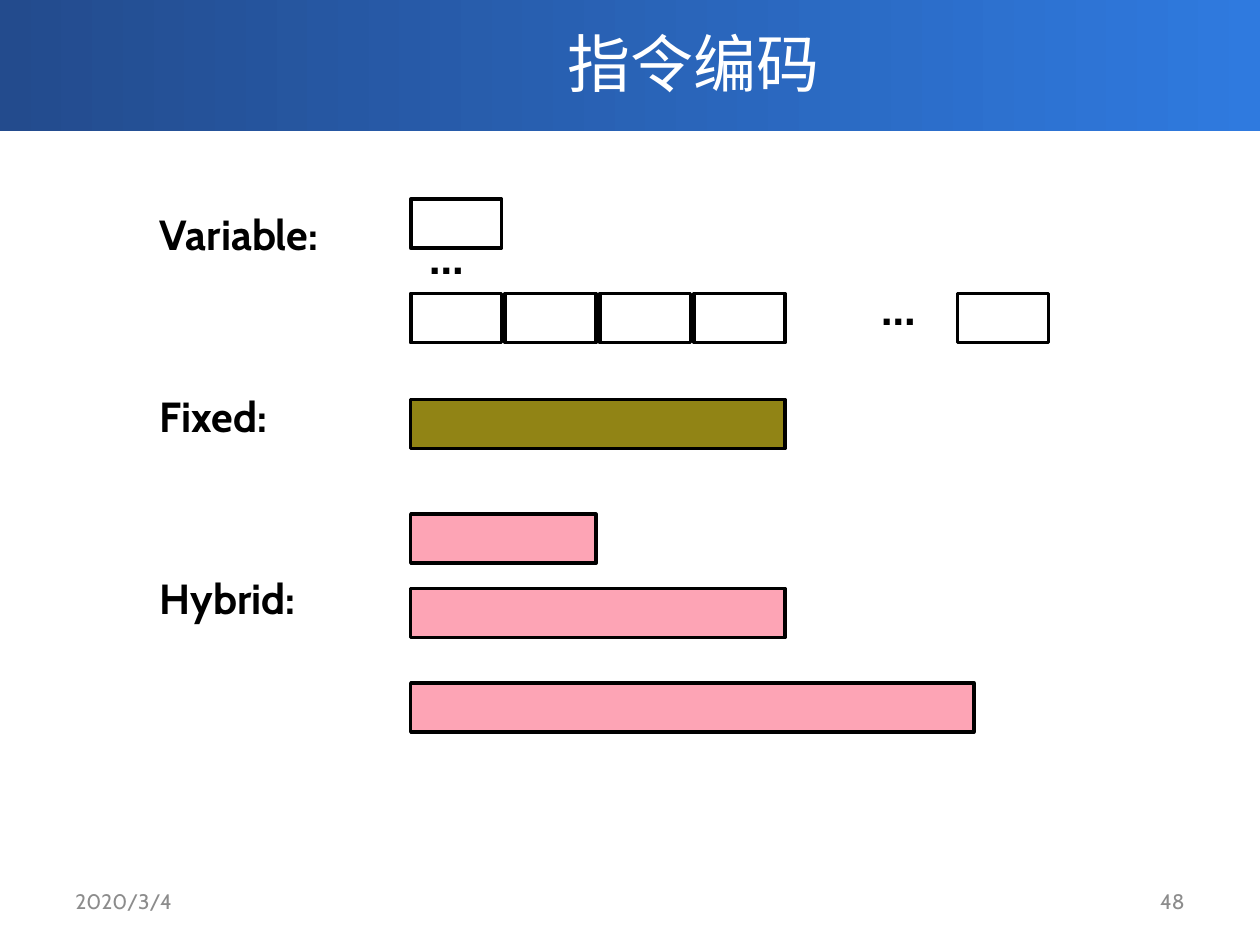
"""Build the slide comparing variable, fixed and hybrid instruction encoding."""
from lxml import etree
from pptx import Presentation
from pptx.dml.color import RGBColor
from pptx.enum.shapes import MSO_SHAPE
from pptx.enum.text import MSO_ANCHOR, MSO_AUTO_SIZE, PP_ALIGN
from pptx.oxml.ns import qn
from pptx.util import Pt

RECTANGLE = MSO_SHAPE.RECTANGLE
MIDDLE, TOP = MSO_ANCHOR.MIDDLE, MSO_ANCHOR.TOP
LEFT, CENTER, RIGHT = PP_ALIGN.LEFT, PP_ALIGN.CENTER, PP_ALIGN.RIGHT
NO_FIT = MSO_AUTO_SIZE.NONE
LABEL_GAP = 78
BAR_LEFT, BAR_HEIGHT, BYTE, GAP = 234.72, 28.08, 54, 2.16


def color(value):
    return RGBColor.from_string(value)


def write(box, lines, font, fill, align=LEFT, anchor=TOP, wrap=False, spacing=None, gap=0):
    frame = box.text_frame
    for name, value in {"word_wrap": wrap, "auto_size": NO_FIT, "vertical_anchor": anchor}.items():
        setattr(frame, name, value)
    for index, line in enumerate(lines):
        para = frame.add_paragraph() if index else frame.paragraphs[0]
        para.alignment = align
        para.line_spacing = spacing
        para.space_before = Pt(gap if index else 0)
        span = para.add_run()
        span.text = line
        for name, value in font.items():
            setattr(span.font, name, value)
        span.font.color.rgb = color(fill)


deck = Presentation()
deck.slide_width, deck.slide_height = Pt(720), Pt(540)
page = deck.slides.add_slide(deck.slide_layouts[5])

band = page.shapes.add_shape(RECTANGLE, Pt(0), Pt(-2.16), Pt(720), Pt(77.04))
band.shadow.inherit = False
band.line.fill.background()
band.fill.gradient()
band.fill.gradient_angle = 0
for stop, value in zip(band.fill.gradient_stops, ("234B8D", "2F7ADF")):
    stop.color.rgb = color(value)

title = page.shapes.title
title.left, title.top, title.width, title.height = Pt(72), Pt(0), Pt(648), Pt(71.28)
title_font = {"name": "Noto Sans CJK SC", "size": Pt(36)}
write(title, ["指令编码"], title_font, "FFFFFF", CENTER, MIDDLE, True)
properties = title.text_frame.paragraphs[0].runs[0].font._element
etree.SubElement(properties, qn("a:ea")).set("typeface", title_font["name"])
title._element.addprevious(band._element)

footer_font = {"name": "Cabin", "size": Pt(12)}
for text, left, align in (("2020/3/4", 36, LEFT), ("48", 516, RIGHT)):
    box = page.shapes.add_textbox(Pt(left), Pt(500.4), Pt(168), Pt(28.8))
    write(box, [text], footer_font, "8C8C8C", align, MIDDLE, True)

labels = page.shapes.add_textbox(Pt(84.24), Pt(118.8), Pt(115.92), Pt(240.48))
label_font = {"name": "Cabin", "size": Pt(24), "bold": True}
write(labels, ["Variable:", "Fixed:", "Hybrid:"], label_font, "000000", spacing=0.9, gap=LABEL_GAP)

bars = [
    (BAR_LEFT, 228.24, 4, "918415"),
    (BAR_LEFT, 293.76, 2, "FDA4B5"),
    (BAR_LEFT, 336.24, 4, "FDA4B5"),
    (BAR_LEFT, 390.24, 6, "FDA4B5"),
]
bars += [(BAR_LEFT + index * BYTE, 167.76, 1, None) for index in range(4)]
bars += [(547.2, 167.76, 1, None), (BAR_LEFT, 113.76, 1, None)]
for left, top, size, fill in bars:
    bar = page.shapes.add_shape(RECTANGLE, Pt(left), Pt(top), Pt(size * BYTE - GAP), Pt(BAR_HEIGHT))
    bar.shadow.inherit = False
    if fill:
        bar.fill.solid()
        bar.fill.fore_color.rgb = color(fill)
    else:
        bar.fill.background()
    bar.line.color.rgb = color("000000")
    bar.line.width = Pt(2)

dots_font = {"name": "Cabin", "size": Pt(28), "bold": True}
for left, top in ((496.8, 158.4), (238.32, 128.88)):
    dots = page.shapes.add_textbox(Pt(left), Pt(top), Pt(42.48), Pt(37.44))
    write(dots, ["…"], dots_font, "000000", spacing=0.9)

deck.save("out.pptx")
